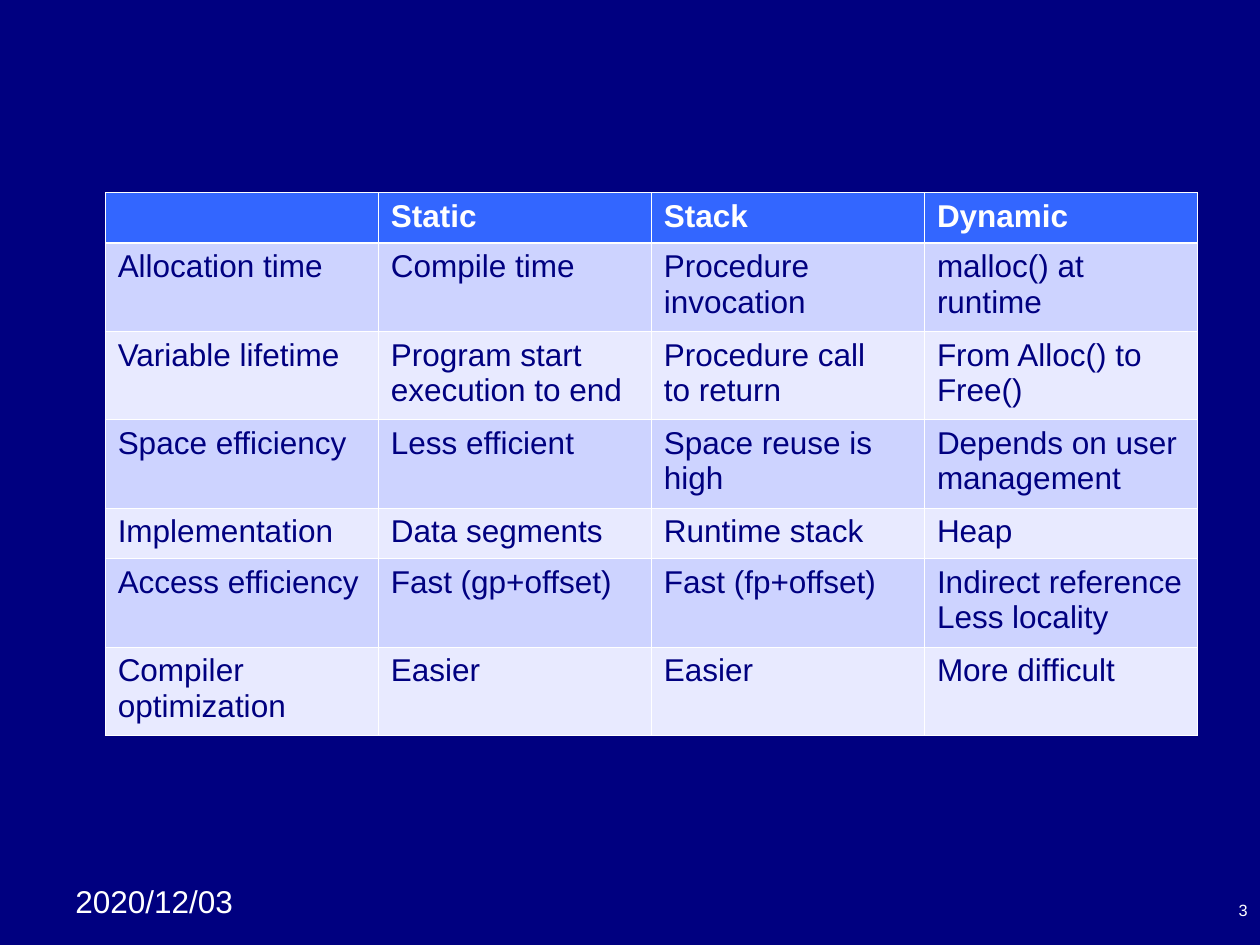
"""Build a slide with a table comparing static, stack and dynamic allocation."""
from dataclasses import dataclass
from lxml import etree
from pptx import Presentation
from pptx.dml.color import RGBColor as Rgb
from pptx.enum import text as txt
from pptx.oxml import ns
from pptx.util import Cm, Pt


@dataclass
class Theme:
    font: str = "Arial"
    navy: str = "000080"
    white: str = "FFFFFF"
    head: str = "3366FF"
    dark: str = "CDD3FF"
    light: str = "E8EAFF"
    size: float = 18
    small: float = 9.3
    thin: float = 0.45
    thick: float = 1.47


theme = Theme()


def write(frame, words, size=theme.size, color=theme.white, bold=False,
          align=txt.PP_ALIGN.LEFT, anchor=txt.MSO_ANCHOR.TOP):
    frame.text = words
    frame.word_wrap = True
    frame.vertical_anchor = anchor
    for para in frame.paragraphs:
        para.alignment = align
        para.font.name = theme.font
        para.font.size = Pt(size)
        para.font.bold = bold
        para.font.color.rgb = Rgb.from_string(color)


def edge(cell, side, width):
    props = cell._tc.get_or_add_tcPr()
    line = etree.SubElement(props, ns.qn("a:ln" + side), w=str(Pt(width)))
    fill = etree.SubElement(line, ns.qn("a:solidFill"))
    etree.SubElement(fill, ns.qn("a:srgbClr"), val=theme.white)


rows = [
    ["", "Static", "Stack", "Dynamic"],
    ["Allocation time", "Compile time", "Procedure invocation", "malloc() at runtime"],
    ["Variable lifetime", "Program start execution to end",
     "Procedure call\nto return", "From Alloc() to Free()"],
    ["Space efficiency", "Less efficient", "Space reuse is\nhigh",
     "Depends on user management"],
    ["Implementation", "Data segments", "Runtime stack", "Heap"],
    ["Access efficiency", "Fast (gp+offset)", "Fast (fp+offset)",
     "Indirect reference\nLess locality"],
    ["Compiler optimization", "Easier", "Easier", "More difficult"],
]
short, tall = Cm(1.02), Cm(1.78)
single = (0, 4)

deck = Presentation()
deck.slide_width, deck.slide_height = Cm(25.4), Cm(19.05)
slide = deck.slides.add_slide(deck.slide_layouts[6])
slide.background.fill.solid()
slide.background.fill.fore_color.rgb = Rgb.from_string(theme.navy)

date = slide.shapes.add_textbox(Cm(1.27), Cm(17.65), Cm(4.01), Cm(1.02))
write(date.text_frame, "2020/12/03")
number = slide.shapes.add_textbox(Cm(19.48), Cm(17.98), Cm(5.92), Cm(0.69))
write(number.text_frame, "3", size=theme.small,
      align=txt.PP_ALIGN.RIGHT, anchor=txt.MSO_ANCHOR.BOTTOM)

grid = slide.shapes.add_table(len(rows), len(rows[0]), Cm(2.12), Cm(3.88),
                              Cm(22.02), Cm(10.94)).table
for r, row in enumerate(rows):
    grid.rows[r].height = short if r in single else tall
    tint = theme.head if r == 0 else theme.dark if r % 2 else theme.light
    for c, words in enumerate(row):
        cell = grid.cell(r, c)
        write(cell.text_frame, words, bold=r == 0,
              color=theme.white if r == 0 else theme.navy)
        for side in "LRTB":
            rule = (side, r) in (("B", 0), ("T", 1))
            edge(cell, side, theme.thick if rule else theme.thin)
        cell.fill.solid()
        cell.fill.fore_color.rgb = Rgb.from_string(tint)

deck.save("out.pptx")
